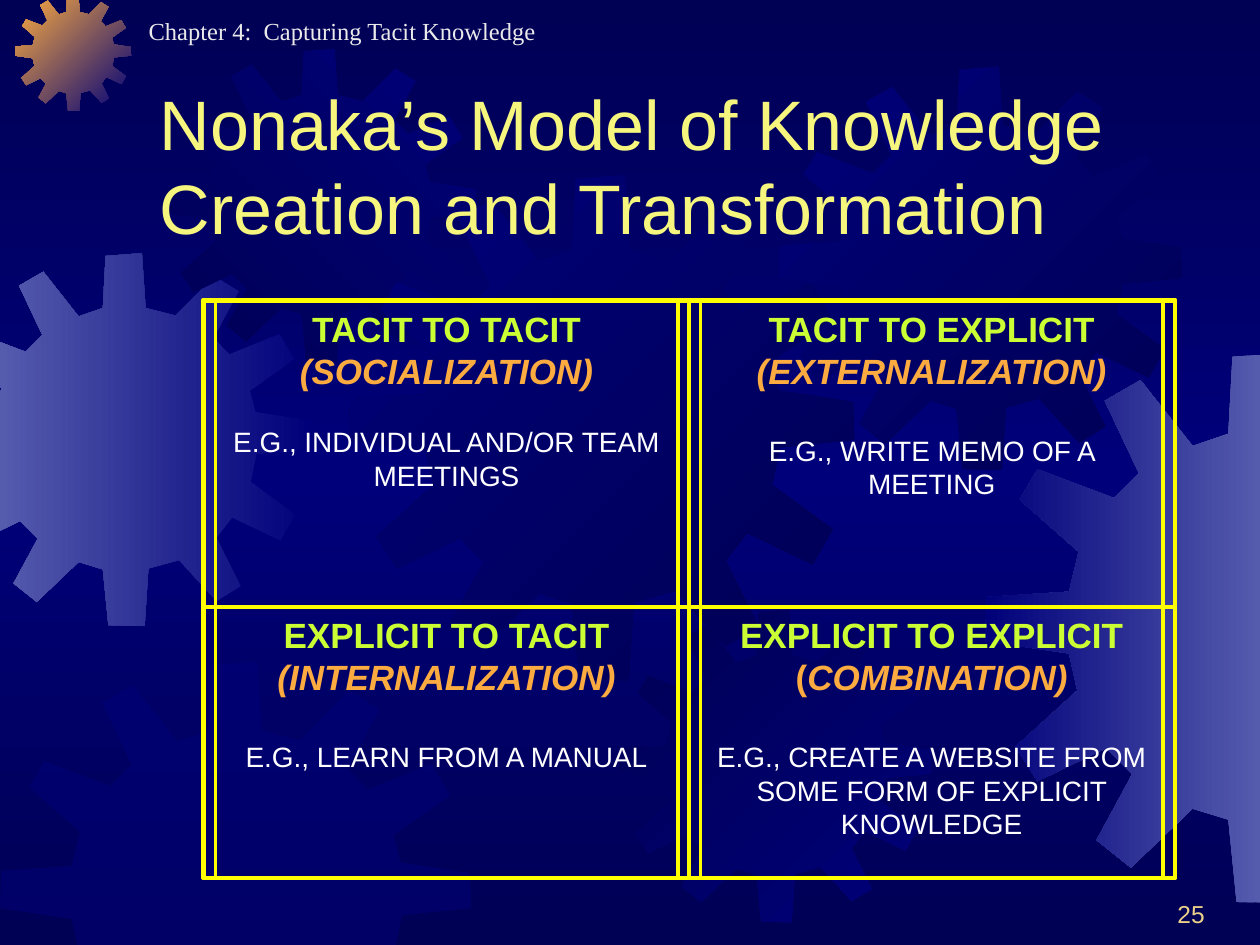
from copy import deepcopy
from dataclasses import dataclass

from pptx import Presentation
from pptx.dml.color import RGBColor
from pptx.enum.shapes import MSO_SHAPE as Shape
from pptx.enum.text import MSO_ANCHOR as Anchor, PP_ALIGN as Align
from pptx.oxml.ns import qn
from pptx.oxml.xmlchemy import OxmlElement
from pptx.util import Inches, Pt


@dataclass(frozen=True)
class Theme:
    navy: str = "000054"
    blue: str = "00007A"
    steel: str = "555BAD"
    orange: str = "FCAB40"
    yellow: str = "FFFF00"
    title: str = "F6F67E"
    lime: str = "CCFF33"
    white: str = "FFFFFF"
    header: str = "EAEAEA"
    number: str = "EBD189"
    sans: str = "Arial"
    serif: str = "Times New Roman"
    title_size: int = 40
    heading_size: int = 20
    body_size: int = 16
    small_size: int = 14
    line: int = 2


THEME = Theme()
WIDTH, HEIGHT = 10, 7.5

HEADER = "Chapter 4:  Capturing Tacit Knowledge"
TITLE = "Nonaka’s Model of Knowledge Creation and Transformation"
NUMBER = "25"

QUADRANTS = [
    ("TACIT TO TACIT", "(SOCIALIZATION)", "E.G., INDIVIDUAL AND/OR TEAM MEETINGS", 19),
    ("TACIT TO EXPLICIT", "(EXTERNALIZATION)", "E.G., WRITE MEMO OF A MEETING", 24),
    ("EXPLICIT TO TACIT", "(INTERNALIZATION)", "E.G., LEARN FROM A MANUAL", 24),
    ("EXPLICIT TO EXPLICIT", "(COMBINATION)",
     "E.G., CREATE A WEBSITE FROM SOME FORM OF EXPLICIT KNOWLEDGE", 24),
]
UPRIGHT_BRACKET = "(COMBINATION)"
GRID_LEFT, GRID_TOP, COLUMN, INSET = 1.62, 2.39, 3.85, 0.09
ROW_HEIGHTS = [2.43, 2.15]

GEAR_SPAN = 4.01
GEAR = [
    (2.55, 0.67), (2.23, 0.59), (2.19, 0), (1.8, 0.03), (1.77, 0.59), (1.51, 0.68),
    (1.13, 0.2), (0.87, 0.35), (1.12, 0.88), (0.94, 1.06), (0.38, 0.85), (0.25, 1.07),
    (0.68, 1.45), (0.61, 1.74), (0.01, 1.78), (0, 2.1), (0.61, 2.19), (0.67, 2.46),
    (0.22, 2.87), (0.38, 3.12), (0.88, 2.88), (1.07, 3.07), (0.81, 3.55), (1.06, 3.75),
    (1.51, 3.32), (1.77, 3.4), (1.83, 4), (2.22, 4.01), (2.26, 3.39), (2.59, 3.3),
    (2.99, 3.74), (3.25, 3.58), (2.99, 3.06), (3.16, 2.84), (3.68, 3.09), (3.84, 2.81),
    (3.36, 2.46), (3.42, 2.16), (4.01, 2.1), (4, 1.8), (3.41, 1.71), (3.35, 1.48),
    (3.83, 1.14), (3.67, 0.87), (3.13, 1.09), (2.96, 0.91), (3.23, 0.41), (2.97, 0.25),
]
GEARS = [
    (-0.49, 2.01, 2.96, (THEME.blue, THEME.steel), 180),
    (0.12, -0.04, 0.92, (THEME.blue, THEME.orange), 225),
    (1.3, 0.39, 2.48, (THEME.blue, THEME.navy), 135),
    (2.77, 1.39, 4.01, (THEME.navy, THEME.blue), 225),
    (0, 5.25, 3.74, (THEME.blue,), 0),
    (4.91, 4.84, 2.48, (THEME.blue, THEME.navy), 225),
    (6.18, 0.53, 3.2, (THEME.navy, THEME.blue), 225),
    (7.82, 2.8, 4.37, (THEME.steel, THEME.blue), 180),
]


def rgb(value):
    return RGBColor.from_string(value)


def paint_gradient(fill, colors, clockwise):
    fill.gradient()
    fill.gradient_angle = (360 - clockwise) % 360
    for stop, color, position in zip(fill.gradient_stops, colors, (0, 1)):
        stop.color.rgb = rgb(color)
        stop.position = position


def paint_background(page):
    fill = page.background.fill
    paint_gradient(fill, (THEME.navy, THEME.blue), 90)
    stops = page._element.find(".//" + qn("a:gsLst"))
    stops.append(deepcopy(stops[0]))
    fill.gradient_stops[1].position = 0.5
    fill.gradient_stops[2].position = 1


def clip(points, axis, limit, sign):
    kept = []
    for start, end in zip(points[-1:] + points[:-1], points):
        before, after = (sign * (point[axis] - limit) for point in (start, end))
        if before * after < 0:
            share = before / (before - after)
            kept.append(tuple(a + share * (b - a) for a, b in zip(start, end)))
        if after >= 0:
            kept.append(end)
    return kept


def add_gear(page, left, top, size, colors, angle):
    scale = size / GEAR_SPAN
    points = [(left + x * scale, top + y * scale) for x, y in GEAR]
    for axis, limit, sign in ((0, 0, 1), (0, WIDTH, -1), (1, 0, 1), (1, HEIGHT, -1)):
        points = clip(points, axis, limit, sign)
    corners = [(Inches(x), Inches(y)) for x, y in points]
    builder = page.shapes.build_freeform(*corners[0], scale=1.0)
    builder.add_line_segments(corners[1:], close=True)
    gear = builder.convert_to_shape()
    gear.shadow.inherit = False
    gear.line.fill.background()
    if len(colors) == 2:
        paint_gradient(gear.fill, colors, angle)
    else:
        gear.fill.solid()
        gear.fill.fore_color.rgb = rgb(colors[0])
        alpha = OxmlElement("a:alpha")
        alpha.set("val", "50000")
        gear._element.spPr.find(".//" + qn("a:srgbClr")).append(alpha)


def style(span, size, color, font=THEME.sans, bold=False, italic=False):
    span.font.size, span.font.name = Pt(size), font
    span.font.bold, span.font.italic = bold, italic
    span.font.color.rgb = rgb(color)


def add_label(page, area, text, size, color, font=THEME.sans,
              align=Align.LEFT, anchor=Anchor.TOP, indent=0.1):
    frame = page.shapes.add_textbox(*map(Inches, area)).text_frame
    frame.word_wrap, frame.vertical_anchor = True, anchor
    frame.margin_left = Inches(indent)
    frame.text = text
    para = frame.paragraphs[0]
    para.alignment = align
    style(para.runs[0], size, color, font)


def add_frame(group, *area):
    box = group.shapes.add_shape(Shape.RECTANGLE, *map(Inches, area))
    box.shadow.inherit = False
    box.fill.background()
    box.line.color.rgb = rgb(THEME.yellow)
    box.line.width = Pt(THEME.line)
    return box


def fill_quadrant(box, heading, process, example, gap):
    frame = box.text_frame
    frame.word_wrap, frame.vertical_anchor = True, Anchor.TOP
    frame.text = "\n".join((heading, process, example))
    for para in frame.paragraphs:
        para.alignment = Align.CENTER
    first, second, third = frame.paragraphs
    style(first.runs[0], THEME.heading_size, THEME.lime, bold=True)
    if process == UPRIGHT_BRACKET:
        second.text = process[0]
        second.add_run().text = process[1:]
    for span in second.runs:
        style(span, THEME.heading_size, THEME.orange, bold=True, italic=span.text != "(")
    style(third.runs[0], THEME.body_size, THEME.white)
    third.space_before = Pt(gap)


def add_matrix(page):
    group = page.shapes.add_group_shape()
    for index, quadrant in enumerate(QUADRANTS):
        row, column = divmod(index, 2)
        left = GRID_LEFT + column * COLUMN
        top = GRID_TOP + sum(ROW_HEIGHTS[:row])
        height = ROW_HEIGHTS[row]
        inner = add_frame(group, left + INSET, top, COLUMN - 2 * INSET, height)
        fill_quadrant(inner, *quadrant)
        add_frame(group, left, top, COLUMN, height)
    add_frame(group, GRID_LEFT - 0.01, GRID_TOP - 0.01,
              2 * COLUMN + 0.02, sum(ROW_HEIGHTS) + 0.01)


def main():
    """Build the knowledge creation matrix slide."""
    deck = Presentation()
    deck.slide_width, deck.slide_height = Inches(WIDTH), Inches(HEIGHT)
    page = deck.slides.add_slide(deck.slide_layouts[6])
    paint_background(page)
    for gear in GEARS:
        add_gear(page, *gear)
    add_label(page, (0.08, 0.08, 7.17, 0.34), HEADER, THEME.small_size, THEME.header,
              font=THEME.serif, indent=1.1)
    add_label(page, (1.17, 0.77, 8.5, 1.25), TITLE, THEME.title_size, THEME.title,
              anchor=Anchor.BOTTOM)
    add_matrix(page)
    add_label(page, (7.58, 6.92, 2.08, 0.5), NUMBER, THEME.small_size, THEME.number,
              align=Align.RIGHT, anchor=Anchor.BOTTOM)
    deck.save("out.pptx")


if __name__ == "__main__":
    main()
